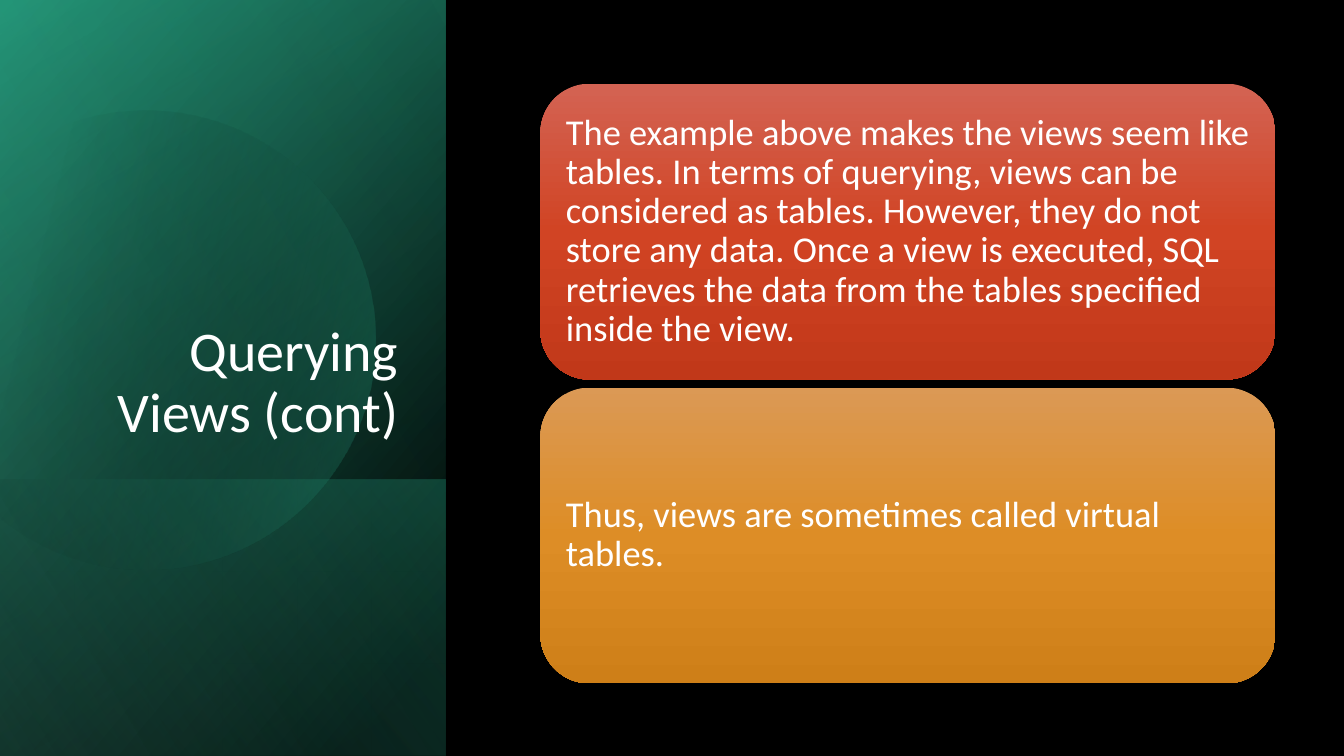
import math

from lxml import etree
from pptx import Presentation
from pptx import util as u
from pptx.dml.color import RGBColor
from pptx.enum import shapes, text
from pptx.oxml import ns

COLORS = {"black": "000000", "white": "FFFFFF", "pine": "1F8369",
          "teal": "29AF8C", "mint": "70DEC1"}
RED = [(0, "D36353", 100), (50, "D14424", 100), (100, "C13819", 100)]
ORANGE = [(0, "DB9955", 100), (50, "DD8D26", 100), (100, "CE7F18", 100)]
BLACK, TEAL = COLORS["black"], COLORS["teal"]
CARDS = [
    ("The example above makes the views seem like tables. In terms of querying, "
     "views can be considered as tables. However, they do not store any data. "
     "Once a view is executed, SQL retrieves the data from the tables specified "
     "inside the view.", RED),
    ("Thus, views are sometimes called virtual tables.", ORANGE),
]


def fill_gradient(shape, stops, angle):
    """Fill with (position %, colour, opacity %) stops, clockwise angle."""
    shape.shadow.inherit = False
    shape.line.fill.background()
    shape.fill.gradient()
    grad = shape._element.spPr.find(ns.qn("a:gradFill"))
    grad.set("rotWithShape", "1")
    for child in list(grad):
        grad.remove(child)
    stop_list = etree.SubElement(grad, ns.qn("a:gsLst"))
    for position, color, opacity in stops:
        stop = etree.SubElement(stop_list, ns.qn("a:gs"), pos=str(position * 1000))
        tint = etree.SubElement(stop, ns.qn("a:srgbClr"), val=color)
        if opacity < 100:
            etree.SubElement(tint, ns.qn("a:alpha"), val=str(opacity * 1000))
    etree.SubElement(grad, ns.qn("a:lin"), ang=str(angle * 60000), scaled="0")


def write(frame, words, size, **paragraph_format):
    frame.text = words
    para = frame.paragraphs[0]
    for name, value in {"line_spacing": 0.9, **paragraph_format}.items():
        setattr(para, name, value)
    for name, value in {"name": "Calibri", "size": u.Pt(size)}.items():
        setattr(para.font, name, value)
    para.font.color.rgb = RGBColor.from_string(COLORS["white"])


def add_layer(page, box, stops, angle):
    """Add a mirrored rectangle, turned a quarter, that covers the box."""
    left, top, width, height = box
    shift = (width - height) / 2
    layer = page.shapes.add_shape(
        shapes.MSO_SHAPE.RECTANGLE, u.Inches(left + shift), u.Inches(top - shift),
        u.Inches(height), u.Inches(width))
    layer.rotation = 90
    layer._element.spPr.find(ns.qn("a:xfrm")).set("flipH", "1")
    fill_gradient(layer, stops, angle)


def add_disc(page, center_x, center_y, radius):
    """Add a disc with its left side cut off by a chord."""
    start, end = -118, 150
    points = [(u.Inches(center_x + radius * math.cos(math.radians(degree))),
               u.Inches(center_y + radius * math.sin(math.radians(degree))))
              for degree in (start, -90, 0, 90, end)]
    builder = page.shapes.build_freeform(*points[0])
    builder.add_line_segments(points[1:], close=True)
    disc = builder.convert_to_shape()

    # One arc takes the place of the straight segments
    segments = list(disc._element.iter(ns.qn("a:lnTo")))
    arc = etree.Element(
        ns.qn("a:arcTo"), wR=str(u.Inches(radius)), hR=str(u.Inches(radius)),
        stAng=str((start + 360) * 60000), swAng=str((end - start) * 60000))
    segments[0].addprevious(arc)
    for segment in segments:
        segment.getparent().remove(segment)
    disc.rotation = 343.9
    fill_gradient(disc, [(29, BLACK, 0), (100, TEAL, 43)], 30)


def add_panel(page, box):
    left, top, width, height = box
    add_layer(page, box, [(8, BLACK, 100), (100, COLORS["pine"], 100)], 50)
    add_layer(page, box, [(0, BLACK, 0), (99, TEAL, 46)], 30)
    band = 2.74
    add_layer(page, (left, top + height - band, width, band),
              [(2, TEAL, 29), (100, BLACK, 30)], 130)
    add_disc(page, left + 1.44, top + 3.33, 2.28)
    add_layer(page, box, [(0, BLACK, 0), (99, COLORS["mint"], 11)], 120)


def place_title(page, box):
    title = page.shapes.title
    page.shapes._spTree.append(title._element)  # in front of the panel
    title.left, title.top, title.width, title.height = map(u.Inches, box)
    frame = title.text_frame
    settings = {"word_wrap": True, "auto_size": text.MSO_AUTO_SIZE.NONE,
                "vertical_anchor": text.MSO_ANCHOR.BOTTOM}
    for name, value in settings.items():
        setattr(frame, name, value)
    write(frame, "Querying Views (cont)", 40, alignment=text.PP_ALIGN.RIGHT)


def add_cards(page, box, gap):
    left, top, width, height = box
    card_height = (height - gap * (len(CARDS) - 1)) / len(CARDS)
    for index, (words, stops) in enumerate(CARDS):
        card = page.shapes.add_shape(
            shapes.MSO_SHAPE.ROUNDED_RECTANGLE, u.Inches(left),
            u.Inches(top + index * (card_height + gap)),
            u.Inches(width), u.Inches(card_height))
        fill_gradient(card, stops, 90)
        frame = card.text_frame
        settings = {"word_wrap": True, "vertical_anchor": text.MSO_ANCHOR.MIDDLE,
                    "margin_left": u.Inches(0.11), "margin_right": u.Inches(0.08),
                    "margin_top": u.Inches(0.11), "margin_bottom": u.Inches(0.11)}
        for name, value in settings.items():
            setattr(frame, name, value)
        write(frame, words, 26, alignment=text.PP_ALIGN.LEFT)


def main():
    deck = Presentation()
    deck.slide_width, deck.slide_height = u.Inches(13.33), u.Inches(7.5)
    page = deck.slides.add_slide(deck.slide_layouts.get_by_name("Title Only"))
    page.background.fill.solid()
    page.background.fill.fore_color.rgb = RGBColor.from_string(BLACK)

    # Green panel with the title, then the cards on the right
    add_panel(page, (0, 0, 4.42, 7.5))
    place_title(page, (0.64, 1.84, 3.41, 2.62))
    add_cards(page, (5.36, 0.83, 7.29, 5.95), gap=0.08)
    deck.save("out.pptx")


if __name__ == "__main__":
    main()
